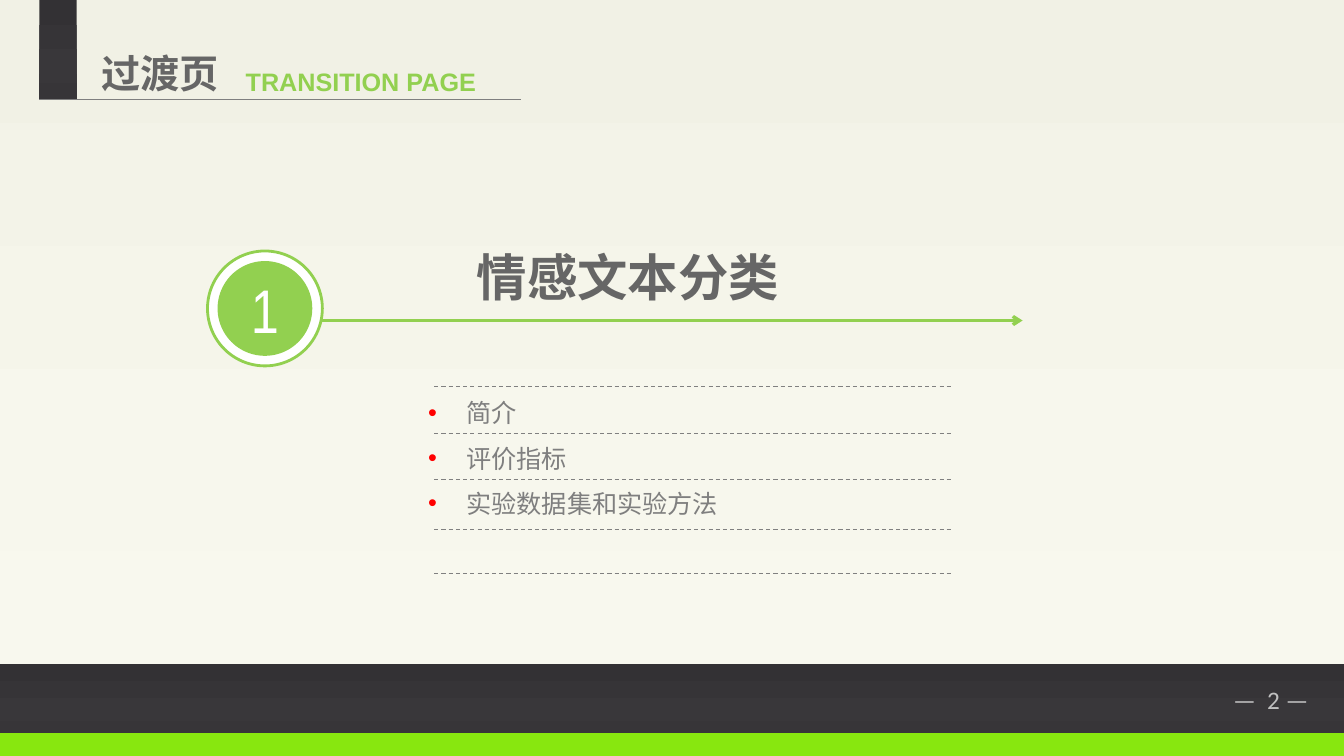
from copy import deepcopy
from dataclasses import dataclass

from pptx import Presentation
from pptx.dml.color import RGBColor
from pptx.enum.dml import MSO_LINE_DASH_STYLE as DASH
from pptx.enum.shapes import MSO_CONNECTOR, MSO_SHAPE
from pptx.enum.text import MSO_ANCHOR, PP_ALIGN
from pptx.oxml.ns import qn
from pptx.oxml.xmlchemy import OxmlElement
from pptx.util import Pt

PX = 9144  # EMU per px, 100 px to the inch


@dataclass(frozen=True)
class Theme:
    paper: tuple = ((0, "F1F1E5"), (74, "F7F7ED"), (83, "F8F8EE"), (100, "F9F9EF"))
    dark: tuple = ((0, "333134"), (74, "39373A"), (83, "373538"), (100, "363436"))
    lime: str = "88E70F"
    green: str = "92D050"
    white: str = "FFFFFF"
    heading: str = "666666"
    body: str = "7F7F7F"
    dashes: str = "808080"
    footer: str = "BFBFBF"
    bullet: str = "FF0000"
    cjk: str = "Noto Sans CJK SC"
    latin: str = "Arial"
    narrow: str = "Arial Narrow"
    number: str = "Calibri"
    small: int = 18
    title: int = 28
    section: int = 36
    badge: int = 44
    line_height: float = 26.3
    line_gap: int = 6


THEME = Theme()


def rgb(colour):
    return RGBColor.from_string(colour)


def px(*lengths):
    return [length * PX for length in lengths]


def add_child(parent, tag, **attributes):
    child = OxmlElement(tag)
    for name, value in attributes.items():
        child.set(name, str(value))
    parent.append(child)
    return child


def fill_gradient(shape, stops):
    """Fill from top to bottom with (percent, colour) stops."""
    shape.fill.gradient()
    shape.fill.gradient_angle = 270
    stop_list = next(shape._element.spPr.iter(qn("a:gsLst")))
    while len(stop_list) < len(stops):
        stop_list.append(deepcopy(stop_list[0]))
    for stop, (percent, colour) in zip(shape.fill.gradient_stops, stops):
        stop.position = percent / 100
        stop.color.rgb = rgb(colour)


def add_figure(page, kind, place, fill, outline=None):
    """Add a preset shape; fill is one colour or a tuple of gradient stops."""
    shape = page.shapes.add_shape(kind, *px(*place))
    shape.shadow.inherit = False
    if isinstance(fill, tuple):
        fill_gradient(shape, fill)
    else:
        shape.fill.solid()
        shape.fill.fore_color.rgb = rgb(fill)
    if outline:
        shape.line.color.rgb = rgb(outline)
        shape.line.width = Pt(2)
    else:
        shape.line.fill.background()
    return shape


def style_text(para, size, font, colour, bold=False):
    for span in para.runs:
        span.font.size = Pt(size)
        span.font.name = font
        span.font.bold = bold
        span.font.color.rgb = rgb(colour)
        add_child(span.font._element, "a:ea", typeface=font)


def add_label(page, place, text, size, font, colour, bold=False, align=PP_ALIGN.LEFT):
    frame = page.shapes.add_textbox(*px(*place)).text_frame
    frame.word_wrap = True
    frame.vertical_anchor = MSO_ANCHOR.MIDDLE
    frame.text = text
    para = frame.paragraphs[0]
    para.alignment = align
    style_text(para, size, font, colour, bold)


def add_rule(page, left, right, y, colour, width=0.75, dash=None, arrow=False):
    rule = page.shapes.add_connector(MSO_CONNECTOR.STRAIGHT, *px(left, y, right, y))
    rule.line.color.rgb = rgb(colour)
    rule.line.width = Pt(width)
    if dash:
        rule.line.dash_style = dash
    if arrow:
        add_child(rule.line._get_or_add_ln(), "a:tailEnd", type="arrow")
    add_child(rule._element.spPr, "a:effectLst")


def add_badge(page, text):
    add_figure(page, MSO_SHAPE.OVAL, (206, 249, 114, 114), THEME.white, THEME.green)
    disc = add_figure(page, MSO_SHAPE.OVAL, (216, 259, 94, 94), THEME.green)
    frame = disc.text_frame
    frame.vertical_anchor = MSO_ANCHOR.MIDDLE
    frame.text = text
    frame.paragraphs[0].alignment = PP_ALIGN.CENTER
    style_text(frame.paragraphs[0], THEME.badge, THEME.narrow, THEME.white)


def add_bullets(page, place, items):
    frame = page.shapes.add_textbox(*px(*place)).text_frame
    frame.word_wrap = True
    frame.margin_top = frame.margin_bottom = 0
    frame.text = "\n".join(items)
    for para in frame.paragraphs:
        para.line_spacing = Pt(THEME.line_height)
        para.space_after = Pt(THEME.line_gap)
        style_text(para, THEME.small, THEME.cjk, THEME.body)
        layout = para._p.get_or_add_pPr()
        layout.set("marL", str(38 * PX))
        layout.set("indent", str(-38 * PX))
        add_child(add_child(layout, "a:buClr"), "a:srgbClr", val=THEME.bullet)
        add_child(layout, "a:buFont", typeface=THEME.latin)
        add_child(layout, "a:buChar", char="•")


def add_backdrop(page):
    add_figure(page, MSO_SHAPE.RECTANGLE, (0, 0, 1334, 659), THEME.paper)
    add_figure(page, MSO_SHAPE.RECTANGLE, (0, 726, 1334, 24), THEME.lime)
    add_figure(page, MSO_SHAPE.RECTANGLE, (0, 659, 1334, 68), THEME.dark)
    add_label(page, (1214, 674, 119, 40), "—  2 —", THEME.small, THEME.number, THEME.footer)


def add_header(page):
    add_figure(page, MSO_SHAPE.RECTANGLE, (39, 0, 37, 99), THEME.dark)
    add_label(page, (91, 44, 159, 57), "过渡页", THEME.title, THEME.cjk, THEME.heading, bold=True)
    add_label(page, (234, 61, 268, 40), "TRANSITION PAGE", THEME.small, THEME.latin,
              THEME.green, bold=True)
    add_rule(page, 39, 517, 99, THEME.body)


def main():
    deck = Presentation()
    deck.slide_width, deck.slide_height = px(1334, 750)
    page = deck.slides.add_slide(deck.slide_layouts[6])
    add_backdrop(page)
    add_header(page)
    add_badge(page, "1")
    add_rule(page, 320, 1015, 318, THEME.green, width=2.25, arrow=True)
    add_label(page, (332, 239, 571, 71), " 情感文本分类", THEME.section, THEME.cjk,
              THEME.heading, bold=True, align=PP_ALIGN.CENTER)
    add_bullets(page, (415, 388, 529, 137), ["简介", "评价指标", "实验数据集和实验方法"])
    for y in (383, 430, 476, 525, 569):
        add_rule(page, 431, 944, y, THEME.dashes, dash=DASH.DASH)
    deck.save("out.pptx")


if __name__ == "__main__":
    main()
